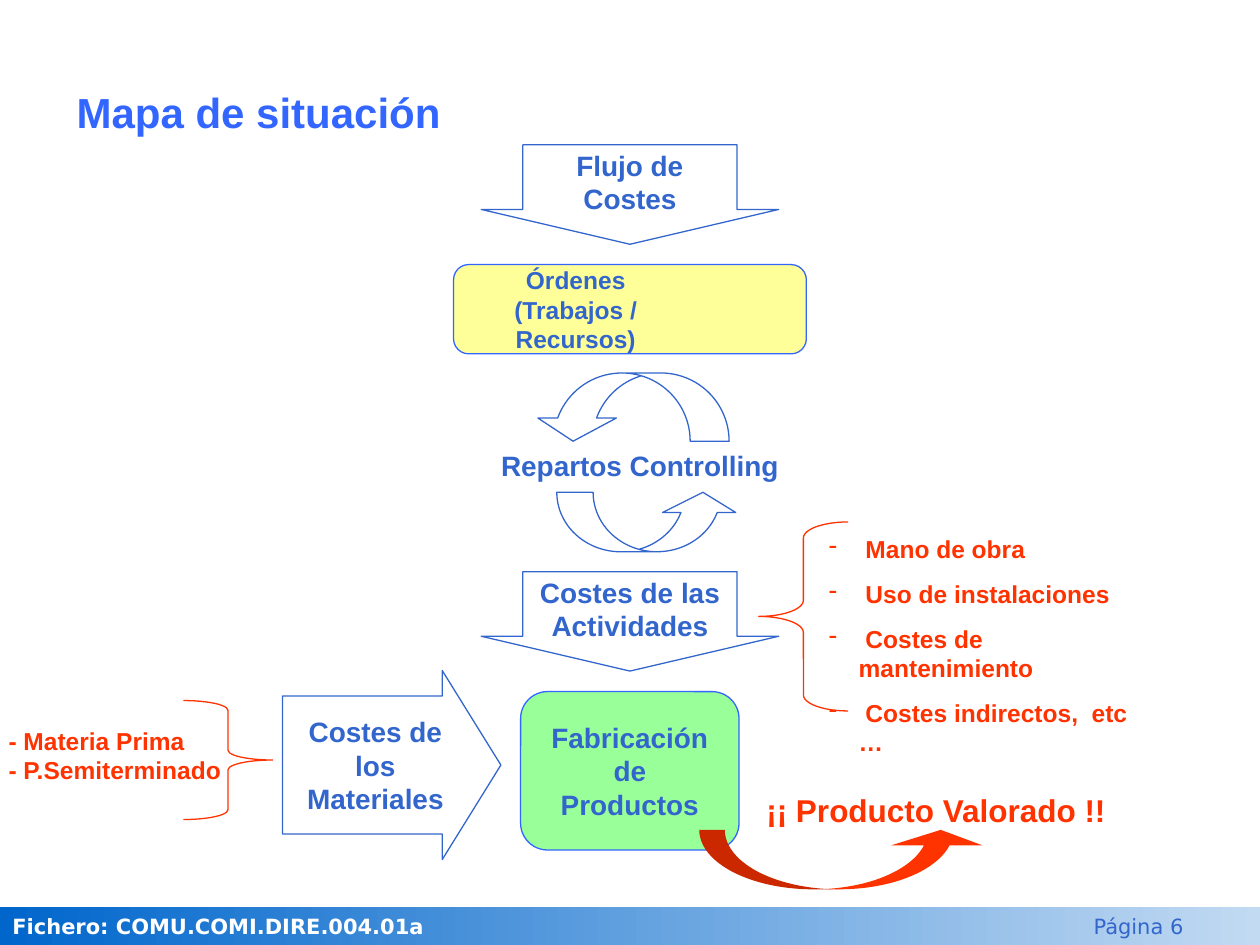
"""Build the cost flow map slide."""
from lxml import etree
from pptx import Presentation
from pptx.dml import color as dml
from pptx.enum import shapes, text
from pptx.oxml import ns
from pptx.util import Pt

COLORS = {
    "blue": "3366CC", "bright": "3366FF", "red": "FF3300", "white": "FFFFFF",
    "yellow": "FFFF99", "green": "99FF99", "deep": "0066CC", "pale": "C2DAF2",
}
KIND = shapes.MSO_SHAPE
LEFT, CENTER = text.PP_ALIGN.LEFT, text.PP_ALIGN.CENTER


def rgb(name):
    return dml.RGBColor.from_string(COLORS[name])


def write(shape, lines, size, color, align=CENTER, font="Arial", bold=True):
    frame = shape.text_frame
    frame.word_wrap = True
    frame.text = "\n".join(lines)
    for paragraph in frame.paragraphs:
        paragraph.alignment = align
        for run in paragraph.runs:
            run.font.name, run.font.size, run.font.bold = font, Pt(size), bold
            run.font.color.rgb = rgb(color)
    return frame


presentation = Presentation()
presentation.slide_width, presentation.slide_height = Pt(720), Pt(540)
slide = presentation.slides.add_slide(presentation.slide_layouts[6])

footer = slide.shapes.add_shape(KIND.RECTANGLE, Pt(0), Pt(518), Pt(720), Pt(23.5))
footer.shadow.inherit = False
footer.line.fill.background()
footer.fill.gradient()
footer.fill.gradient_angle = 0
for stop, name in zip(footer.fill.gradient_stops, ("deep", "pale")):
    stop.color.rgb = rgb(name)
    stop.position = 0 if name == "deep" else 1

figures = [
    (KIND.ROUNDED_RECTANGLE, (259.2, 151.2, 201.6, 51), (0.17,), "yellow", "bright",
     ["Órdenes", "(Trabajos / Recursos)"], 14),
    (KIND.DOWN_ARROW, (275, 82.8, 170, 56.8), (0.72, 0.35), None, "blue",
     ["Flujo de Costes"], 16),
    (KIND.ROUNDED_RECTANGLE, (297.5, 395.2, 124.8, 90.5), (0.17,), "green", "bright",
     ["Fabricación de Productos"], 16),
    (KIND.CURVED_UP_ARROW, (318.2, 281.3, 104.4, 34), (0.61, 1.23, 0.34), None, "blue", [], 0),
    (KIND.CURVED_UP_ARROW, (305, 213.1, 111.6, 39), (0.57, 1.15, 0.34), None, "blue", [], 0),
    (KIND.DOWN_ARROW, (275, 326.7, 170, 56.8), (0.72, 0.35), None, "blue",
     ["Costes de las Actividades"], 16),
    (KIND.RIGHT_ARROW, (161.4, 383.2, 124.8, 108), (0.73, 0.31), None, "blue",
     ["Costes de los Materiales"], 16),
    (KIND.LEFT_BRACE, (433.6, 298.3, 51, 108), (0.18, 0.5), None, "red", [], 0),
    (KIND.RIGHT_BRACE, (104.8, 400.3, 51, 68), (0.11, 0.5), None, "red", [], 0),
    (KIND.CURVED_UP_ARROW, (399.6, 474.2, 164, 34), (0.43, 1.53, 0.26), "red", None, [], 0),
]
drawn = []
for kind, box, adjustments, fill, line, lines, size in figures:
    shape = slide.shapes.add_shape(kind, *map(Pt, box))
    shape.shadow.inherit = False
    for index, value in enumerate(adjustments):
        shape.adjustments[index] = value
    if fill:
        shape.fill.solid()
        shape.fill.fore_color.rgb = rgb(fill)
    else:
        shape.fill.background()
    if line:
        shape.line.color.rgb = rgb(line)
        shape.line.width = Pt(0.75)
    else:
        shape.line.fill.background()
    if lines:
        write(shape, lines, size, "blue").vertical_anchor = text.MSO_ANCHOR.MIDDLE
    drawn.append(shape)

orders, return_arrow, materials = drawn[0], drawn[4], drawn[6]
orders.text_frame.paragraphs[0]._p.get_or_add_pPr().set("marR", str(Pt(62)))
return_arrow.rotation = 180
materials.text_frame.margin_left, materials.text_frame.margin_right = Pt(5.8), Pt(0)

labels = [
    ((617.8, 518.4, 102.2, 23.8), ["Página 6"], 12, "blue", LEFT, "DejaVu Sans", False),
    ((0, 518.4, 257.8, 21.6), ["Fichero: COMU.COMI.DIRE.004.01a"], 12, "white", LEFT,
     "DejaVu Sans"),
    ((36.7, 49, 652.3, 33.8), ["Mapa de situación"], 24, "bright", LEFT),
    ((235.4, 252.7, 260.6, 26.6), ["Repartos Controlling"], 16, "blue"),
    ((-2.2, 411.1, 145.4, 41), ["- Materia Prima", "- P.Semiterminado"], 14, "red", LEFT),
    ((422.6, 448.6, 224.6, 28.8), ["¡¡ Producto Valorado !!"], 18, "red"),
    ((466.6, 301.7, 198.7, 100.8),
     [" Mano de obra", " Uso de instalaciones", " Costes de mantenimiento",
      " Costes indirectos,  etc …"], 14, "red", LEFT),
]
frames = [write(slide.shapes.add_textbox(*map(Pt, box)), *style) for box, *style in labels]
frames[2].paragraphs[0].line_spacing = 0.9

for index, paragraph in enumerate(frames[-1].paragraphs):
    paragraph.space_before = Pt(8.8 if index else 0)
    properties = paragraph._p.get_or_add_pPr()
    properties.set("marL", str(Pt(17)))
    properties.set("indent", str(Pt(-17)))
    bullet_color = etree.SubElement(properties, ns.qn("a:buClr"))
    etree.SubElement(bullet_color, ns.qn("a:srgbClr"), val=COLORS["red"])
    etree.SubElement(properties, ns.qn("a:buChar"), char="-")

presentation.save("out.pptx")
